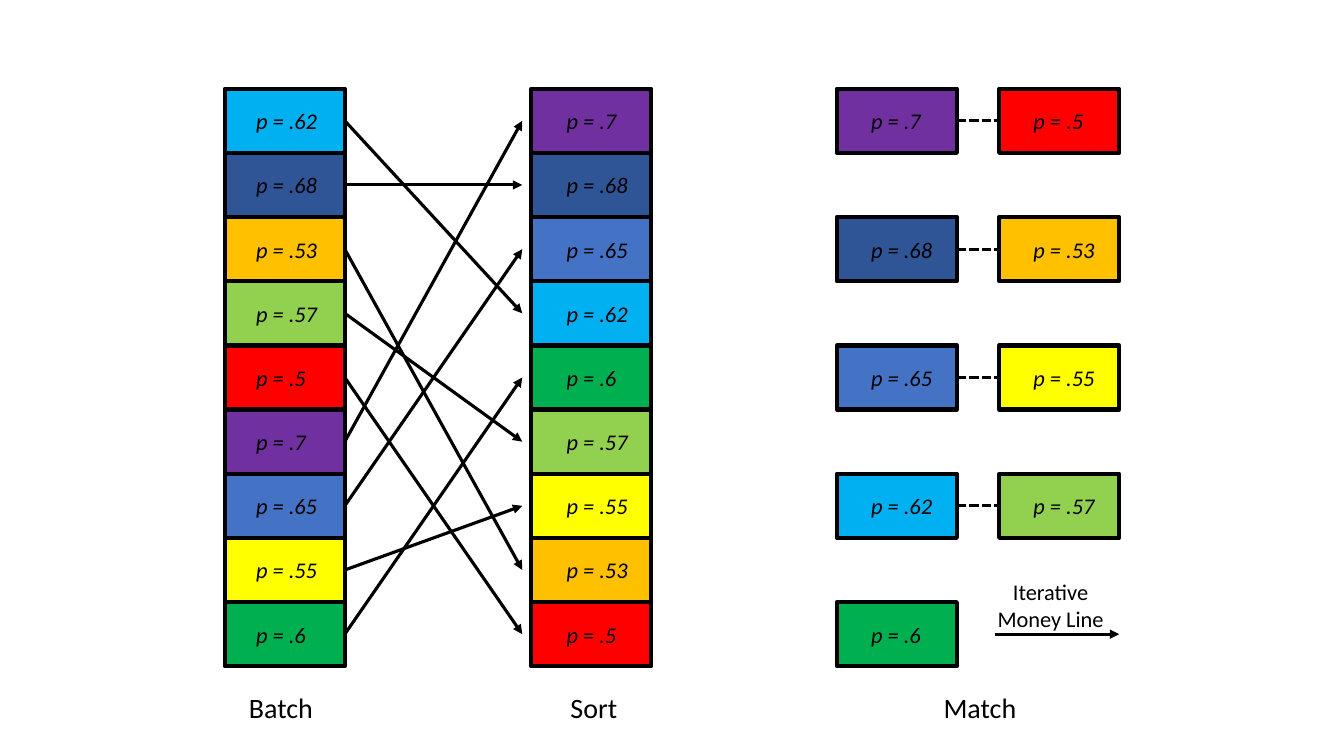
from lxml import etree
from pptx import Presentation
from pptx.dml.color import RGBColor
from pptx.enum import dml, shapes, text
from pptx.oxml import ns
from pptx.util import Inches, Pt

BLACK = RGBColor(0x00, 0x00, 0x00)
FONT = "Calibri"

# Probability of each bet in arrival order, with its colour
BATCH = {
    ".62": RGBColor(0x00, 0xB0, 0xF0),
    ".68": RGBColor(0x2F, 0x55, 0x97),
    ".53": RGBColor(0xFF, 0xC0, 0x00),
    ".57": RGBColor(0x92, 0xD0, 0x50),
    ".5": RGBColor(0xFF, 0x00, 0x00),
    ".7": RGBColor(0x70, 0x30, 0xA0),
    ".65": RGBColor(0x44, 0x72, 0xC4),
    ".55": RGBColor(0xFF, 0xFF, 0x00),
    ".6": RGBColor(0x00, 0xB0, 0x50),
}
CAPTIONS = [("Batch", 2.37), ("Sort", 5.56), ("Match", 9.26)]
LEFTOVER_NOTE = "Iterative Money Line"

# Layout in inches
BATCH_X, SORT_X, PAIR_X, PARTNER_X = 2.23, 5.27, 8.3, 9.91
TOP, BOX_W = 0.88, 1.19
BOX_H = 5.73 / len(BATCH)
ARROW_END = 5.18
CAPTION_Y, LABEL_W = 6.8, 1.36

deck = Presentation()
deck.slide_width, deck.slide_height = Inches(13.33), Inches(7.5)
page = deck.slides.add_slide(deck.slide_layouts[6])


def row_top(row):
    return TOP + row * BOX_H


def row_middle(row):
    return row_top(row) + BOX_H / 2


def write(para, words, size, italic=False):
    span = para.add_run()
    span.text = words
    span.font.name, span.font.size = FONT, Pt(size)
    span.font.italic = italic
    span.font.color.rgb = BLACK


def add_bet(value, left, row, indent):
    box = page.shapes.add_shape(
        shapes.MSO_SHAPE.RECTANGLE,
        Inches(left), Inches(row_top(row)), Inches(BOX_W), Inches(BOX_H))
    box.shadow.inherit = False
    box.fill.solid()
    box.fill.fore_color.rgb = BATCH[value]
    box.line.color.rgb = BLACK
    box.line.width = Pt(3)
    frame = box.text_frame
    frame.margin_left, frame.margin_right = Inches(indent), 0
    frame.vertical_anchor = text.MSO_ANCHOR.MIDDLE
    para = frame.paragraphs[0]
    para.alignment = text.PP_ALIGN.LEFT
    write(para, f"p = {value}", 16, italic=True)


def add_line(x1, y1, x2, y2, dashed=False):
    """Draw a dashed link, or a solid arrow pointing at the second end."""
    line = page.shapes.add_connector(
        shapes.MSO_CONNECTOR.STRAIGHT,
        Inches(x1), Inches(y1), Inches(x2), Inches(y2))
    line.line.color.rgb = BLACK
    line.line.width = Pt(2.25)
    if dashed:
        line.line.dash_style = dml.MSO_LINE.SQUARE_DOT
    else:
        etree.SubElement(line.line._get_or_add_ln(), ns.qn("a:tailEnd"), type="triangle")
    etree.SubElement(line._element.spPr, ns.qn("a:effectLst"))


def add_label(words, left, top, height, size, align):
    box = page.shapes.add_textbox(
        Inches(left), Inches(top), Inches(LABEL_W), Inches(height))
    box.text_frame.word_wrap = True
    para = box.text_frame.paragraphs[0]
    para.alignment = align
    write(para, words, size)


ranked = sorted(BATCH, key=float, reverse=True)

for row, value in enumerate(BATCH):
    add_bet(value, BATCH_X, row, 0.31)
for row, value in enumerate(ranked):
    add_bet(value, SORT_X, row, 0.35)
for row, value in enumerate(BATCH):
    add_line(BATCH_X + BOX_W, row_middle(row),
             ARROW_END, row_middle(ranked.index(value)))

# The strongest bet meets the weakest; the middle one is left over
pairs = len(ranked) // 2
for rank in range(pairs + 1):
    row = 2 * rank
    add_bet(ranked[rank], PAIR_X, row, 0.34)
    if rank < pairs:
        add_bet(ranked[-1 - rank], PARTNER_X, row, 0.34)
        add_line(PAIR_X + BOX_W, row_middle(row),
                 PARTNER_X, row_middle(row), dashed=True)

add_line(9.87, row_middle(2 * pairs), 11.1, row_middle(2 * pairs))
add_label(LEFTOVER_NOTE, 9.74, 5.69, 0.64, 16, text.PP_ALIGN.CENTER)
for caption, left in CAPTIONS:
    add_label(caption, left, CAPTION_Y, 0.44, 20, text.PP_ALIGN.LEFT)

deck.save("out.pptx")
